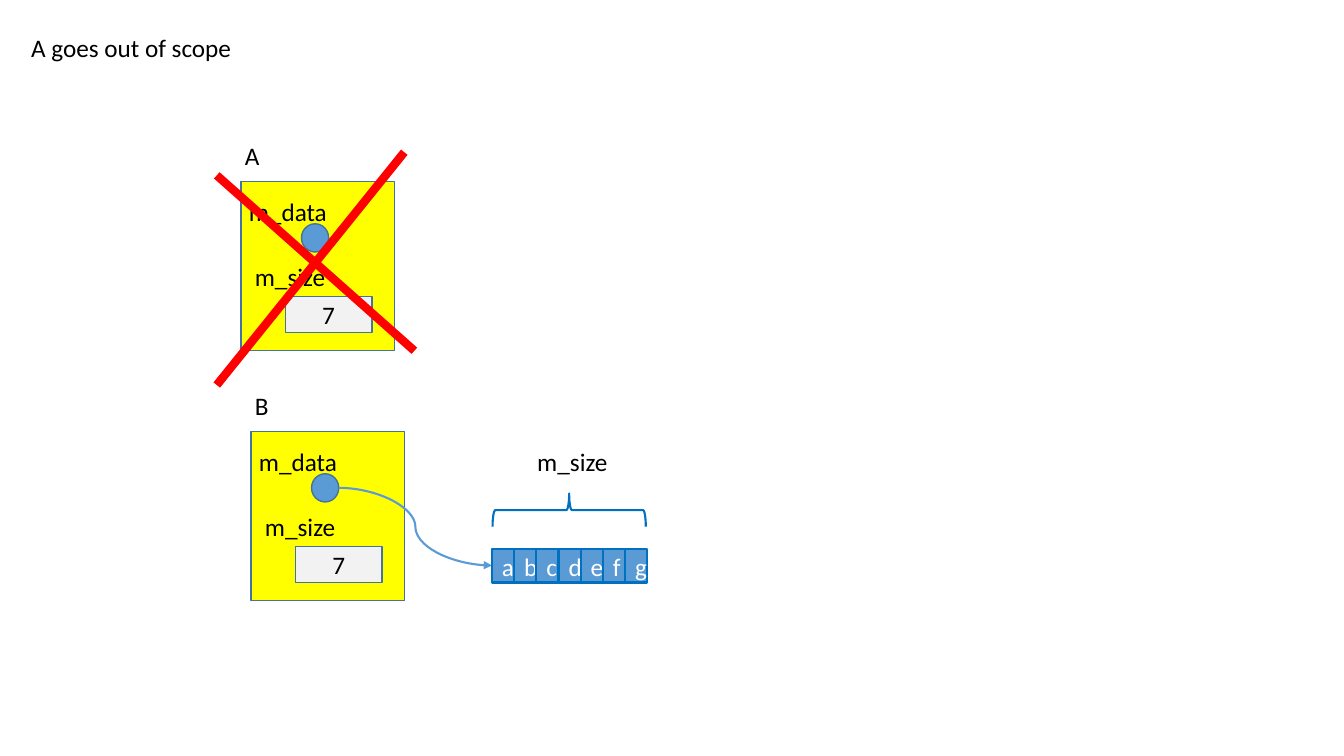
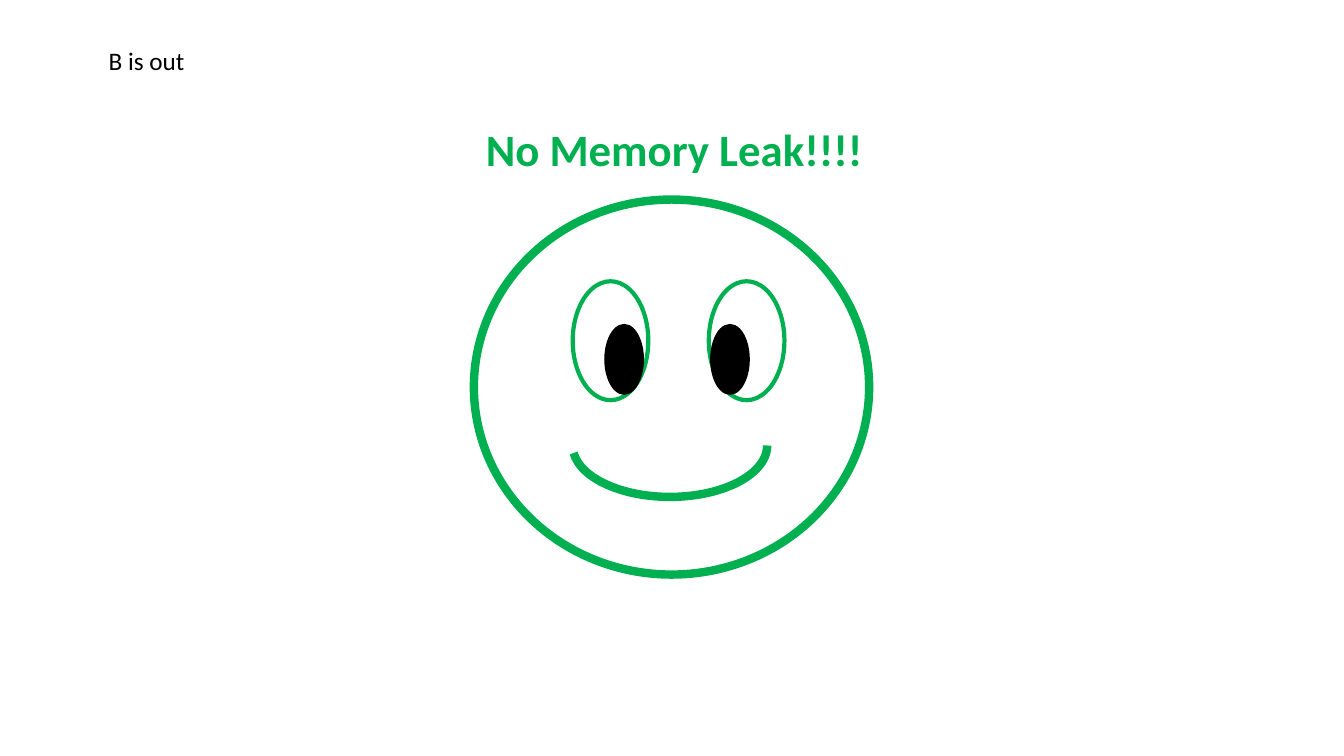
"""Two slides on object lifetime: A leaves scope, then B leaves without a leak."""
from lxml.etree import SubElement
from pptx import Presentation
from pptx.dml.color import RGBColor
from pptx.enum.shapes import MSO_CONNECTOR as LINK, MSO_SHAPE as SHAPE
from pptx.enum.text import MSO_ANCHOR as ANCHOR, MSO_AUTO_SIZE as FIT, PP_ALIGN as ALIGN
from pptx.oxml.ns import qn
from pptx.util import Inches, Pt

COLORS = {
    "text": "000000", "object": "FFFF00", "pointer": "5B9BD5", "border": "43739E",
    "value": "F2F2F2", "array": "0070C0", "white": "FFFFFF", "cross": "FF0000",
    "happy": "00B050",
}
FONT = "Calibri"

OBJECTS = [("A", 2.39, 1.8), ("B", 2.49, 4.28)]
OBJECT_SIZE = (1.52, 1.68)
LABELS = [("m_data", -0.02, 0.1, 1), ("m_size", 0.04, 0.74, 1)]
SIZE_VALUE = "7"
LETTERS = "abcdefg"
ARRAY_LEFT, ARRAY_TOP, CELL_WIDTH, CELL_HEIGHT = 4.88, 5.45, 0.22, 0.33
POINTER_ARROW = (3.36, 4.84, 4.88, 5.61)
CROSS = [(2.15, 1.74, 4.11, 3.48), (2.15, 3.82, 4.01, 1.51)]

FACE = (4.7, 1.98, 3.92, 3.72)
EYE_LEFTS, PUPIL_LEFTS = (5.68, 7.03), (6, 7.05)
SMILE = (5.68, 3.91, 1.93, 1.02)


def color(name):
    return RGBColor.from_string(COLORS[name])


def write(shape, text, ink="text", size=18, bold=False):
    shape.text_frame.text = text
    para = shape.text_frame.paragraphs[0]
    for span in para.runs:
        span.font.name, span.font.size, span.font.bold = FONT, Pt(size), bold
        span.font.color.rgb = color(ink)
    return para


def add_text(page, text, left, top, width, height=0.4, **style):
    box = page.shapes.add_textbox(*map(Inches, (left, top, width, height)))
    box.text_frame.word_wrap = True
    box.text_frame.auto_size = FIT.SHAPE_TO_FIT_TEXT
    write(box, text, **style)


def add_figure(page, kind, place, fill, line, weight=1, text="", ink="text"):
    figure = page.shapes.add_shape(kind, *map(Inches, place))
    figure.shadow.inherit = False
    if fill:
        figure.fill.solid()
        figure.fill.fore_color.rgb = color(fill)
    else:
        figure.fill.background()
    figure.line.color.rgb = color(line)
    figure.line.width = Pt(weight)
    if text:
        write(figure, text, ink).alignment = ALIGN.CENTER
        figure.text_frame.vertical_anchor = ANCHOR.MIDDLE
    return figure


def add_line(page, kind, ends, line, weight, arrow=False):
    link = page.shapes.add_connector(kind, *map(Inches, ends))
    link.line.color.rgb = color(line)
    link.line.width = Pt(weight)
    if arrow:
        SubElement(link.line.fill and link.element.spPr.find(qn("a:ln")), qn("a:tailEnd"), type="triangle")
    SubElement(link.element.spPr, qn("a:effectLst"))


def add_object(page, name, left, top):
    add_figure(page, SHAPE.RECTANGLE, (left, top, *OBJECT_SIZE), "object", "border")
    add_figure(page, SHAPE.OVAL, (left + 0.6, top + 0.42, 0.27, 0.28), "pointer", "border")
    add_figure(page, SHAPE.RECTANGLE, (left + 0.44, top + 1.14, 0.86, 0.36),
               "value", "border", text=SIZE_VALUE)
    for label, dx, dy, width in LABELS:
        add_text(page, label, left + dx, top + dy, width)
    add_text(page, name, left - 0.06, top - 0.46, 0.51)


def add_array(page):
    for index, letter in enumerate(LETTERS):
        place = (ARRAY_LEFT + index * CELL_WIDTH, ARRAY_TOP, CELL_WIDTH, CELL_HEIGHT)
        add_figure(page, SHAPE.RECTANGLE, place, "pointer", "array", 1.5, letter, "white")
    brace = add_figure(page, SHAPE.RIGHT_BRACE, (5.48, 4.3, 0.33, 1.52), None, "array", 1.5)
    brace.rotation = 270
    add_text(page, "m_size", 5.23, 4.38, 0.91)


def build_scope(page):
    add_text(page, "A goes out of scope", 0.21, 0.27, 2.32)
    for name, left, top in OBJECTS:
        add_object(page, name, left, top)
    add_line(page, LINK.CURVE, POINTER_ARROW, "pointer", 1.5, arrow=True)
    add_array(page)
    for ends in CROSS:
        add_line(page, LINK.STRAIGHT, ends, "cross", 6)


def build_smile(page):
    add_text(page, "B is out", 0.98, 0.4, 3.4)
    add_figure(page, SHAPE.OVAL, FACE, None, "happy", 6)
    for left in EYE_LEFTS:
        add_figure(page, SHAPE.OVAL, (left, 2.79, 0.75, 1.18), None, "happy", 3)
    for left in PUPIL_LEFTS:
        add_figure(page, SHAPE.OVAL, (left, 3.22, 0.38, 0.69), "text", "text")
    smile = add_figure(page, SHAPE.ARC, SMILE, None, "happy", 6)
    smile.adjustments[0], smile.adjustments[1] = 110.66, 0
    smile.element.spPr.find(qn("a:xfrm")).set("flipV", "1")
    add_text(page, "No Memory Leak!!!!", 4.72, 1.16, 4.66, 0.64, ink="happy", size=32, bold=True)


deck = Presentation()
deck.slide_width, deck.slide_height = Inches(13.33), Inches(7.5)
for build in (build_scope, build_smile):
    build(deck.slides.add_slide(deck.slide_layouts[6]))
deck.save("out.pptx")
